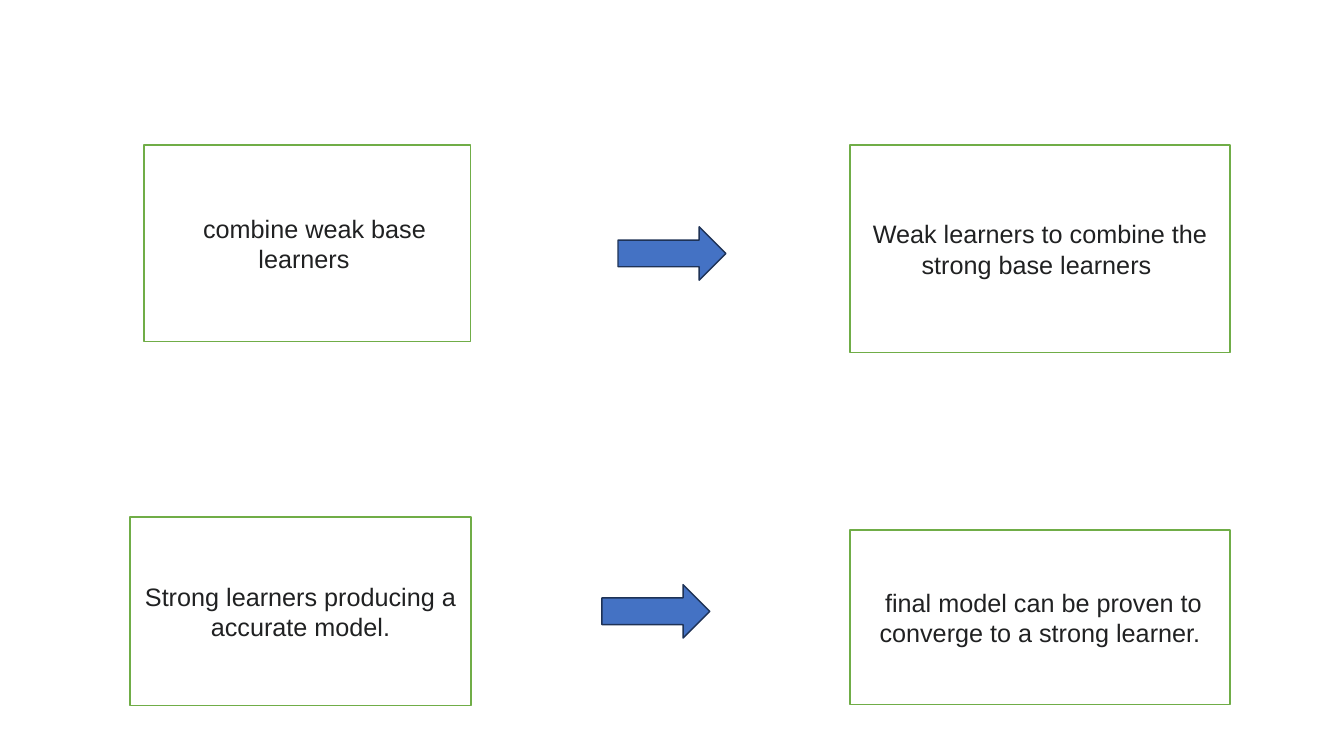
from pptx import Presentation
from pptx.util import Inches, Pt
from pptx.dml.color import RGBColor
from pptx.enum import shapes, text
from dataclasses import dataclass


@dataclass(frozen=True)
class Theme:
    paper: str = "FFFFFF"
    edge: str = "70AD47"
    ink: str = "202122"
    arrow: str = "4472C4"
    rim: str = "1E3256"
    font: str = "Arial"
    size: int = 18
    line: int = 1


theme = Theme()

steps = [
    ("\u00a0 combine weak base learners\u00a0", (1.43, 1.44, 3.24, 1.95)),
    ("Weak learners to combine the strong base learners ", (8.43, 1.44, 3.77, 2.06)),
    ("Strong learners producing a accurate model.", (1.29, 5.13, 3.38, 1.87)),
    ("\u00a0final model can be proven to converge to a strong learner.", (8.43, 5.26, 3.77, 1.73)),
]
arrows = [(6.13, 2.25), (5.97, 5.8)]
span = (1.07, 0.53)

deck = Presentation()
deck.slide_width, deck.slide_height = Inches(13.33), Inches(7.5)
slide = deck.slides.add_slide(deck.slide_layouts[6])


def draw(kind, area, fill, line):
    shape = slide.shapes.add_shape(kind, *map(Inches, area))
    shape.shadow.inherit = False
    shape.fill.solid()
    shape.fill.fore_color.rgb = RGBColor.from_string(fill)
    shape.line.color.rgb = RGBColor.from_string(line)
    shape.line.width = Pt(theme.line)
    return shape


def write(shape, words, size=theme.size, color=theme.ink, font=theme.font):
    frame = shape.text_frame
    frame.word_wrap = True
    frame.vertical_anchor = text.MSO_ANCHOR.MIDDLE
    para = frame.paragraphs[0]
    para.alignment = text.PP_ALIGN.CENTER
    run = para.add_run()
    run.text = words
    run.font.name = font
    run.font.size = Pt(size)
    run.font.color.rgb = RGBColor.from_string(color)


for words, area in steps:
    box = draw(shapes.MSO_SHAPE.RECTANGLE, area, theme.paper, theme.edge)
    write(box, words)

for spot in arrows:
    draw(shapes.MSO_SHAPE.RIGHT_ARROW, spot + span, theme.arrow, theme.rim)

deck.save("out.pptx")
